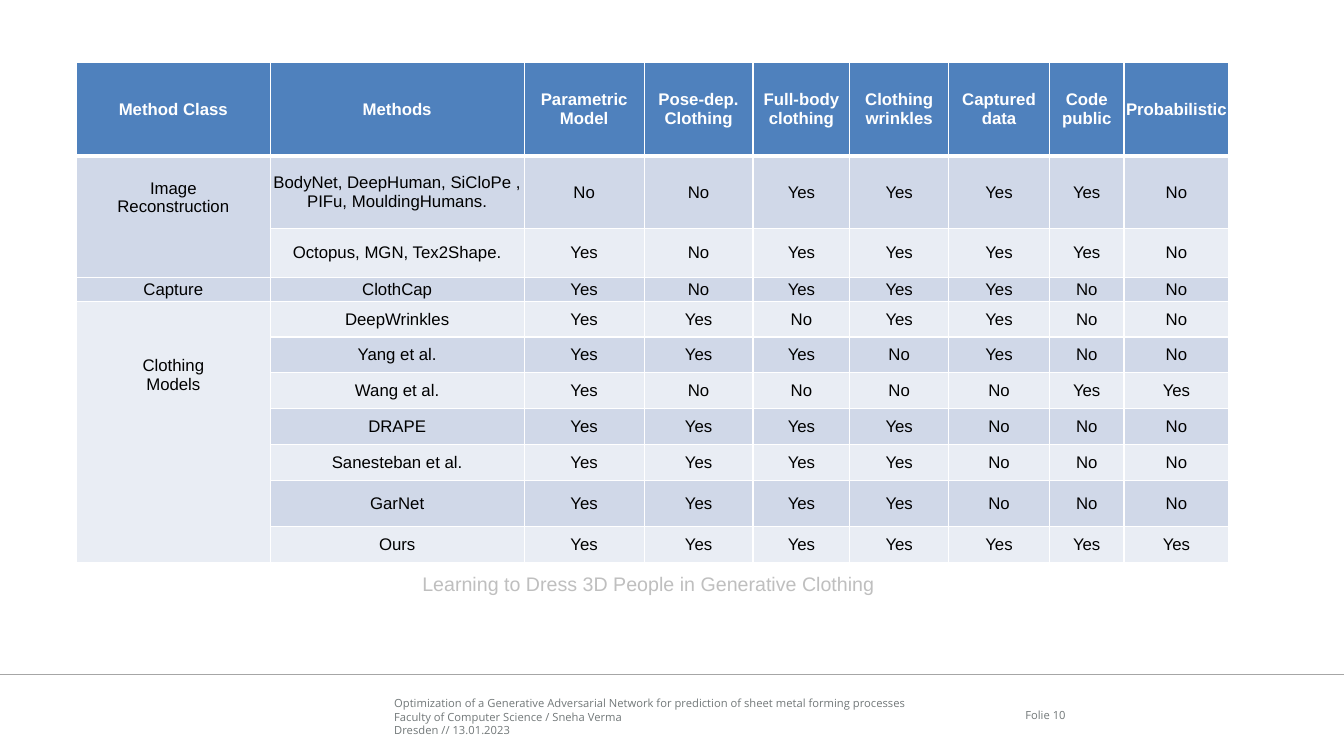
from lxml import etree
from pptx import Presentation
from pptx.dml.color import RGBColor
from pptx.enum import shapes, text
from pptx.oxml import ns
from pptx.util import Inches, Pt

# Content
HEADERS = ["Method Class", "Methods", "Parametric\nModel", "Pose-dep.\nClothing",
           "Full-body\nclothing", "Clothing\nwrinkles", "Captured\ndata",
           "Code\npublic", "Probabilistic"]
# Class, its methods, space kept below the class label
CLASSES = [
    ("Image\nReconstruction", 0.38, [
        ("BodyNet, DeepHuman, SiCloPe , PIFu, MouldingHumans.", "No No Yes Yes Yes Yes No"),
        ("Octopus, MGN, Tex2Shape.", "Yes No Yes Yes Yes Yes No")]),
    ("Capture", 0, [
        ("ClothCap", "Yes No Yes Yes Yes No No")]),
    ("Clothing\nModels", 1.13, [
        ("DeepWrinkles", "Yes Yes No Yes Yes No No"),
        ("Yang et al.", "Yes Yes Yes No Yes No No"),
        ("Wang et al.", "Yes No No No No Yes Yes"),
        ("DRAPE", "Yes Yes Yes Yes No No No"),
        ("Sanesteban et al.", "Yes Yes Yes Yes No No No"),
        ("GarNet", "Yes Yes Yes Yes No No No"),
        ("Ours", "Yes Yes Yes Yes Yes Yes Yes")]),
]
CAPTION = "Learning to Dress 3D People in Generative Clothing"
FOOTER = ("Optimization of a Generative Adversarial Network for prediction of sheet metal "
          "forming processes\nFaculty of Computer Science / Sneha Verma\nDresden // 13.01.2023")
PAGE = "Folie 10"

# Layout in inches
COLUMN_WIDTHS = [1.92, 2.52, 1.19, 1.08, 0.96, 0.98, 1, 0.74, 1.04]
PLAIN_ROW = 2.13 / 6
ROW_HEIGHTS = [0.93, 0.72, 0.48, 0.24] + [PLAIN_ROW] * 5 + [0.46, PLAIN_ROW]
RULE_Y = 6.69

# Colours
WHITE = RGBColor(0xFF, 0xFF, 0xFF)
BLACK = RGBColor(0, 0, 0)
HEADER_BLUE = RGBColor(0x4F, 0x81, 0xBD)
BANDS = [RGBColor(0xD0, 0xD8, 0xE8), RGBColor(0xE9, 0xED, 0xF4)]
CAPTION_GREY = RGBColor(0xBF, 0xBF, 0xBF)
FOOTER_GREY = RGBColor(0x72, 0x78, 0x79)
RULE_GREY = RGBColor(0xA6, 0xA6, 0xA6)


def write(frame, words, size=12, font="Arial", color=BLACK, bold=False,
          align=text.PP_ALIGN.LEFT):
    for i, line in enumerate(words.split("\n")):
        paragraph = frame.add_paragraph() if i else frame.paragraphs[0]
        paragraph.alignment = align
        run = paragraph.add_run()
        run.text = line
        run.font.size, run.font.name = Pt(size), font
        run.font.color.rgb, run.font.bold = color, bold


def add_text(slide, words, left, top, width, height, anchor=text.MSO_ANCHOR.TOP,
             margins=None, **style):
    frame = slide.shapes.add_textbox(*map(Inches, (left, top, width, height))).text_frame
    frame.word_wrap = True
    frame.vertical_anchor = anchor
    if margins:
        (frame.margin_left, frame.margin_top,
         frame.margin_right, frame.margin_bottom) = map(Inches, margins)
    write(frame, words, **style)


def add_borders(cell, top=1, bottom=1):
    properties = cell._tc.get_or_add_tcPr()
    for side, width in (("L", 1), ("R", 1), ("T", top), ("B", bottom)):
        border = etree.SubElement(properties, ns.qn("a:ln" + side), w=str(Pt(width)))
        fill = etree.SubElement(border, ns.qn("a:solidFill"))
        etree.SubElement(fill, ns.qn("a:srgbClr"), val=str(WHITE))


def fill_cell(cell, words, fill, space_below=0, top=1, bottom=1, **style):
    add_borders(cell, top, bottom)
    cell.fill.solid()
    cell.fill.fore_color.rgb = fill
    cell.margin_left = cell.margin_right = cell.margin_top = 0
    cell.margin_bottom = Inches(space_below)
    cell.vertical_anchor = text.MSO_ANCHOR.MIDDLE
    if words:
        write(cell.text_frame, words, align=text.PP_ALIGN.CENTER, **style)


def add_comparison(slide):
    table = slide.shapes.add_table(
        len(ROW_HEIGHTS), len(COLUMN_WIDTHS), Inches(0.76), Inches(0.62),
        Inches(sum(COLUMN_WIDTHS)), Inches(sum(ROW_HEIGHTS))).table
    for column, width in zip(table.columns, COLUMN_WIDTHS):
        column.width = Inches(width)
    for row, height in zip(table.rows, ROW_HEIGHTS):
        row.height = Inches(height)

    for c, header in enumerate(HEADERS):
        fill_cell(table.cell(0, c), header, HEADER_BLUE, bottom=3, color=WHITE, bold=True)

    r = 1
    for class_name, space_below, methods in CLASSES:
        first = r
        for method, answers in methods:
            label = class_name if r == first else ""
            for c, words in enumerate([label, method, *answers.split()]):
                fill_cell(table.cell(r, c), words, BANDS[(r - 1) % 2],
                          space_below=space_below if label and c == 0 else 0,
                          top=3 if r == 1 else 1)
            r += 1
        if len(methods) > 1:
            table.cell(first, 0).merge(table.cell(r - 1, 0))


def main():
    deck = Presentation()
    deck.slide_width, deck.slide_height = Inches(13.33), Inches(7.5)
    slide = deck.slides.add_slide(deck.slide_layouts[6])

    # Footer
    add_text(slide, FOOTER, 3.91, 6.91, 5.67, 0.4, anchor=text.MSO_ANCHOR.BOTTOM,
             margins=(0, 0, 0, 0), size=8, font="Open Sans", color=FOOTER_GREY)
    rule = slide.shapes.add_connector(shapes.MSO_CONNECTOR.STRAIGHT, 0, Inches(RULE_Y),
                                      deck.slide_width, Inches(RULE_Y))
    rule.line.color.rgb = RULE_GREY
    rule.line.width = Pt(1)
    etree.SubElement(rule._element.spPr, ns.qn("a:effectLst"))
    add_text(slide, PAGE, 9.8, 6.76, 0.77, 0.53, anchor=text.MSO_ANCHOR.MIDDLE,
             margins=(0, 0.13, 0, 0), size=8, font="Open Sans", color=FOOTER_GREY,
             align=text.PP_ALIGN.RIGHT)

    # Comparison table and its caption
    add_comparison(slide)
    add_text(slide, CAPTION, 4.09, 5.62, 4.85, 0.34, size=14, color=CAPTION_GREY)

    deck.save("out.pptx")


if __name__ == "__main__":
    main()
